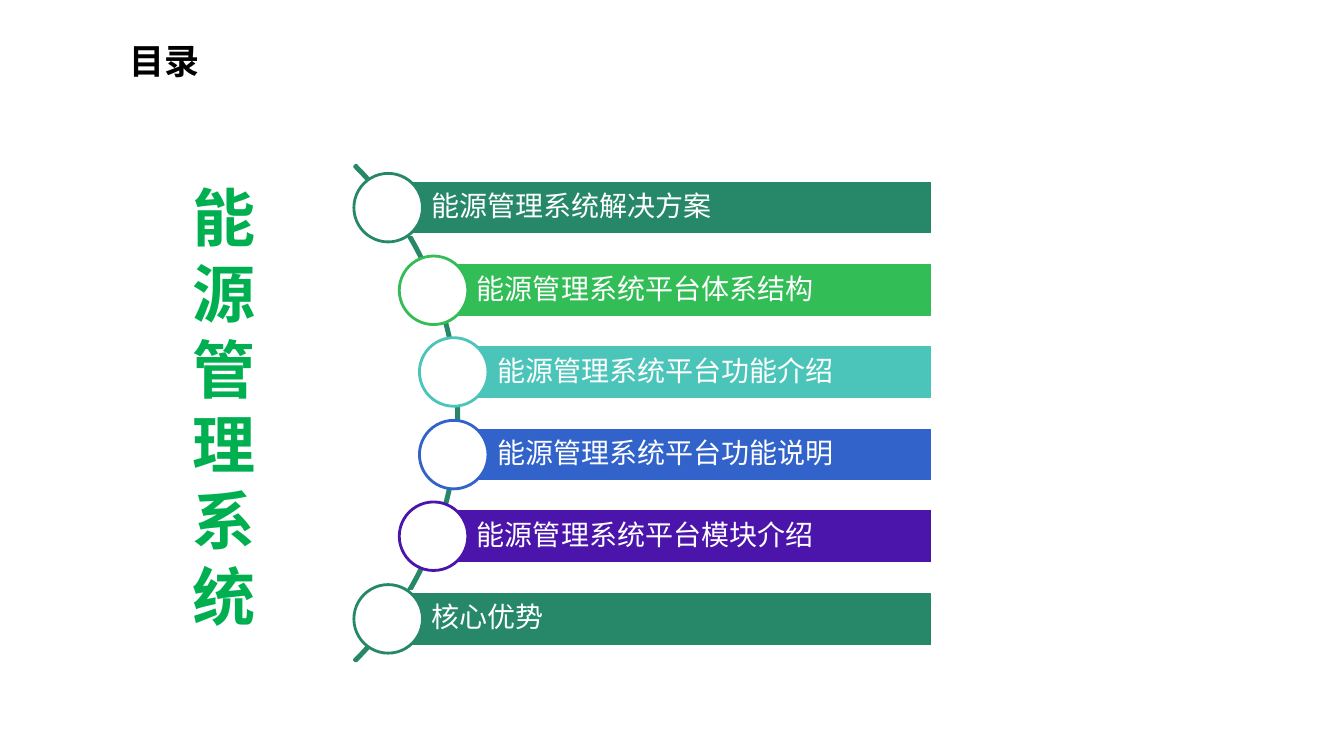
from pptx import Presentation
from pptx.dml.color import RGBColor as RGB
from pptx.enum.shapes import MSO_SHAPE as SHAPE
from pptx.enum.text import MSO_ANCHOR as ANCHOR, MSO_AUTO_SIZE as FIT, PP_ALIGN as ALIGN
from pptx.oxml.ns import qn
from pptx.util import Pt
from lxml import etree

PX = 9144  # 100 px to the inch
SANS = "Noto Sans CJK SC"
COLORS = {
    "pine": "268868", "green": "33BD56", "teal": "4BC5B9", "blue": "3163CA",
    "violet": "4B14AA", "leaf": "00B050", "white": "FFFFFF", "black": "000000",
}

deck = Presentation()
deck.slide_width, deck.slide_height = 1333 * PX, 750 * PX
slide = deck.slides.add_slide(deck.slide_layouts[6])
slide.background.fill.solid()
slide.background.fill.fore_color.rgb = RGB.from_string(COLORS["white"])


def write(shape, text, size, color, font=SANS, bold=False, align=ALIGN.LEFT,
          pad=(11, 5, 11, 5), wrap=False, space=None):
    frame = shape.text_frame
    frame.word_wrap = wrap
    frame.auto_size = FIT.NONE if wrap else FIT.SHAPE_TO_FIT_TEXT
    frame.vertical_anchor = ANCHOR.MIDDLE
    (frame.margin_left, frame.margin_top,
     frame.margin_right, frame.margin_bottom) = [n * PX for n in pad]
    frame.text = text
    for para in frame.paragraphs:
        para.alignment = align
        para.line_spacing = space
        run = para.runs[0]
        run.font.size, run.font.bold, run.font.name = Pt(size), bold, font
        run.font.color.rgb = RGB.from_string(COLORS[color])
        east = etree.SubElement(run.font._element, qn("a:ea"))
        east.set("typeface", font)


def draw(kind, x, y, w, h, fill, line):
    shape = slide.shapes.add_shape(kind, x * PX, y * PX, w * PX, h * PX)
    shape.shadow.inherit = False
    if fill:
        shape.fill.solid()
        shape.fill.fore_color.rgb = RGB.from_string(COLORS[fill])
    else:
        shape.fill.background()
    shape.line.color.rgb = RGB.from_string(COLORS[line])
    shape.line.width = Pt(2)
    return shape


# Page title
title = slide.shapes.add_textbox(117 * PX, 34 * PX, 92 * PX, 53 * PX)
write(title, "目录", 25, "black", bold=True, align=ALIGN.RIGHT)

# Arc behind the list
arc = draw(SHAPE.BLOCK_ARC, -241, 62, 696, 696, None, "pine")
for i, value in enumerate((189, 27, 0.003)):
    arc.adjustments[i] = value

# Topic bars with their circles
TOPICS = [
    ("能源管理系统解决方案", "pine", 385),
    ("能源管理系统平台体系结构", "green", 430),
    ("能源管理系统平台功能介绍", "teal", 450),
    ("能源管理系统平台功能说明", "blue", 450),
    ("能源管理系统平台模块介绍", "violet", 430),
    ("核心优势", "pine", 385),
]
RIGHT = 925
for i, (topic, color, left) in enumerate(TOPICS):
    top = 179 + round(81.6 * i)
    bar = draw(SHAPE.RECTANGLE, left, top, RIGHT - left, 54, color, "white")
    write(bar, topic, 20, "white", pad=(43, 6, 6, 6), wrap=True, space=0.9)
    draw(SHAPE.OVAL, left - 34, top - 7, 68, 68, "white", color)

# Vertical system name
name = slide.shapes.add_textbox(179 * PX, 170 * PX, 85 * PX, 465 * PX)
write(name, "\n".join("能源管理系统"), 45, "leaf", font="Arial", bold=True,
      align=ALIGN.RIGHT)

deck.save("out.pptx")
